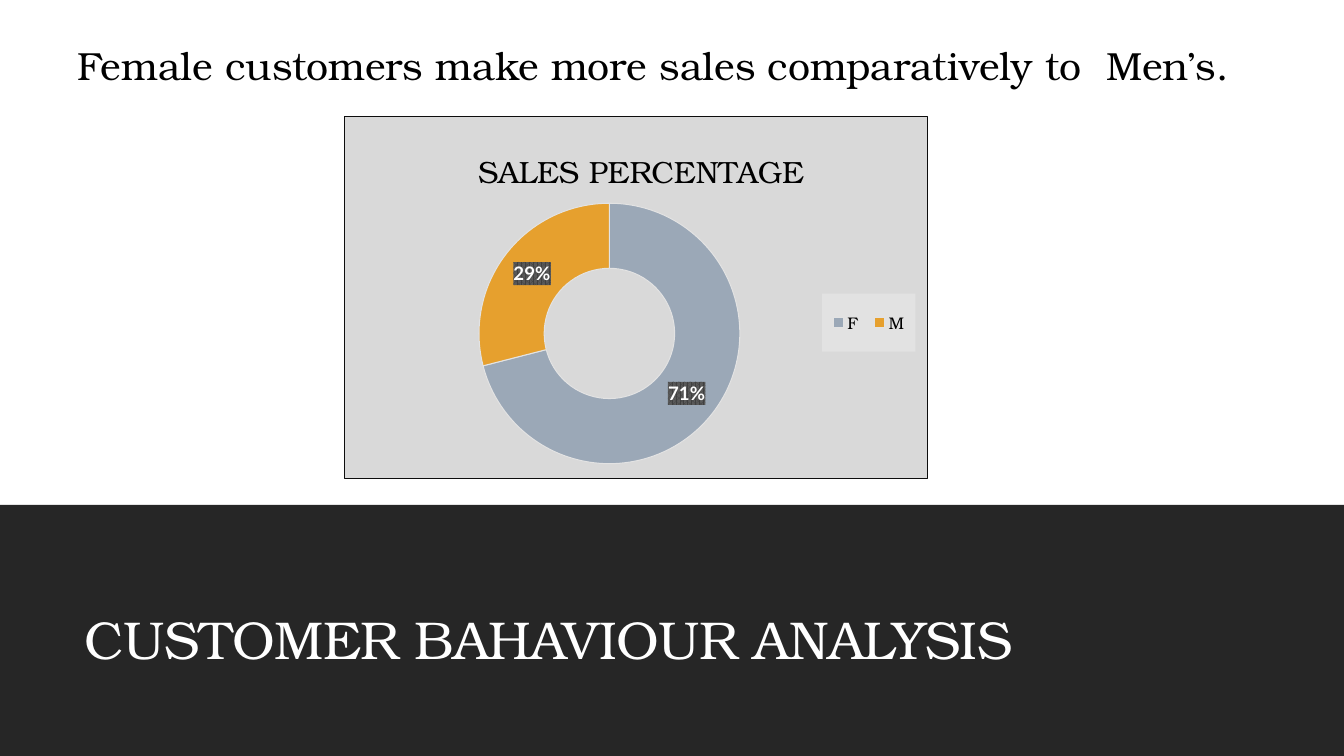
from dataclasses import dataclass

from pptx import Presentation
from pptx.chart.data import CategoryChartData
from pptx.dml.color import RGBColor
from pptx.enum.chart import XL_CHART_TYPE, XL_LEGEND_POSITION
from pptx.enum.shapes import MSO_SHAPE
from pptx.enum.text import MSO_ANCHOR, PP_ALIGN
from pptx.oxml import parse_xml
from pptx.oxml.ns import nsdecls, qn
from pptx.util import Inches, Pt

RING = XL_CHART_TYPE.DOUGHNUT
RIGHT = XL_LEGEND_POSITION.RIGHT
RECT = MSO_SHAPE.RECTANGLE
BOTTOM, TOP = MSO_ANCHOR.BOTTOM, MSO_ANCHOR.TOP
LEFT = PP_ALIGN.LEFT
TITLE_ONLY = 5


@dataclass(frozen=True)
class Theme:
    serif: str = "TeX Gyre Bonum"
    sans: str = "Lato"
    white: str = "FFFFFF"
    black: str = "000000"
    band: str = "262626"
    panel: str = "D9D9D9"
    frame: str = "0D0D0D"
    key: str = "E2E2E2"
    edge: str = "E3E3E3"
    tag: str = "404040"
    grain: str = "595959"
    female: str = "9BA8B7"
    male: str = "E6A02E"
    title: float = 38
    lead: float = 28
    head: float = 22
    label: float = 13.3
    legend: float = 12
    base: float = 10


def style(font, size, color, name, bold=False):
    font.size, font.name, font.bold = Pt(size), name, bold
    font.color.rgb = RGBColor.from_string(color)


def write(frame, text, size, color, name, spacing=None, track=None):
    """Fill a text frame with one formatted run; track is in points."""
    para = frame.paragraphs[0]
    para.alignment = LEFT
    if spacing:
        para.line_spacing = spacing
    run = para.add_run()
    run.text = text
    style(run.font, size, color, name)
    if track:
        run.font._element.set("spc", str(round(track * 100)))


def solid(color):
    return f'<a:solidFill><a:srgbClr val="{color}"/></a:solidFill>'


def paint(node, fill, line="<a:ln><a:noFill/></a:ln>"):
    """Give a chart part a fill and line, just ahead of its text style."""
    part = parse_xml(f'<c:spPr {nsdecls("c", "a")}>{fill}{line}</c:spPr>')
    node.find(qn("c:txPr")).addprevious(part)


def place(node, after, inner=False, **spots):
    """Set the layout of a chart part as shares of the chart's size."""
    for old in node.findall(qn("c:layout")):
        node.remove(old)
    modes = "".join(f'<c:{k}Mode val="edge"/>' for k in "xy")
    sizes = "".join(f'<c:{k} val="{v}"/>' for k, v in spots.items())
    target = '<c:layoutTarget val="inner"/>' if inner else ""
    layout = parse_xml(
        f'<c:layout {nsdecls("c")}><c:manualLayout>{target}{modes}{sizes}'
        "</c:manualLayout></c:layout>")
    if after:
        node.find(qn(after)).addnext(layout)
    else:
        node.insert(0, layout)


class Deck:
    def __init__(self, theme):
        self.theme = theme
        self.show = Presentation()
        self.show.slide_width = Inches(13.33)
        self.show.slide_height = Inches(7.5)
        self.slide = self.show.slides.add_slide(
            self.show.slide_layouts[TITLE_ONLY])

    def band(self, box, color):
        """Draw a plain block behind everything else."""
        shape = self.slide.shapes.add_shape(RECT, *map(Inches, box))
        shape.shadow.inherit = False
        shape.fill.solid()
        shape.fill.fore_color.rgb = RGBColor.from_string(color)
        shape.line.fill.background()
        self.slide.shapes._spTree.insert(2, shape._element)

    def title(self, box, text):
        t, shape = self.theme, self.slide.shapes.title
        shape.left, shape.top, shape.width, shape.height = map(Inches, box)
        frame = shape.text_frame
        frame.word_wrap = True
        frame.vertical_anchor = BOTTOM
        frame.margin_top = frame.margin_bottom = 0
        write(frame, text, t.title, t.white, t.serif, spacing=0.9, track=-0.5)

    def text(self, box, text):
        t = self.theme
        frame = self.slide.shapes.add_textbox(*map(Inches, box)).text_frame
        frame.word_wrap = True
        frame.vertical_anchor = TOP
        write(frame, text, t.lead, t.black, t.serif)

    def ring(self, box, head, shares):
        """Add a doughnut chart; shares maps a name to (value, color)."""
        t = self.theme
        data = CategoryChartData()
        data.categories = list(shares)
        data.add_series("Series 1", [value for value, _ in shares.values()])
        chart = self.slide.shapes.add_chart(
            RING, *map(Inches, box), data).chart
        style(chart.font, t.base, t.black, t.sans)
        paint(chart._chartSpace, solid(t.panel),
              f'<a:ln w="{Pt(0.75)}">{solid(t.frame)}</a:ln>')
        area = chart._chartSpace.chart.plotArea
        place(area, None, inner=True, x=0.23, y=0.24, w=0.45, h=0.72)

        chart.has_title = True
        write(chart.chart_title.text_frame, head, t.head, t.black, t.serif)
        place(chart.chart_title._element, "c:tx", x=0.22, y=0.07)

        chart.has_legend = True
        legend = chart.legend
        legend.position = RIGHT
        legend.include_in_layout = False
        style(legend.font, t.legend, t.black, t.serif)
        paint(legend._element, solid(t.key))
        place(legend._element, "c:legendPos", x=0.82, y=0.49, w=0.16, h=0.16)

        plot = chart.plots[0]
        plot.vary_by_categories = True
        series = plot.series[0]
        for i, (_, color) in enumerate(shares.values()):
            look = series.points[i].format
            look.fill.solid()
            look.fill.fore_color.rgb = RGBColor.from_string(color)
            look.line.width = Pt(0.75)
            look.line.color.rgb = RGBColor.from_string(t.edge)
        labels = series.data_labels
        labels.show_percentage = True
        labels.show_value = False
        labels.number_format = "0%"
        labels.number_format_is_linked = False
        style(labels.font, t.label, t.white, t.sans, bold=True)
        paint(labels._element,
              f'<a:pattFill prst="pct75"><a:fgClr><a:srgbClr val="{t.tag}"/>'
              f'</a:fgClr><a:bgClr><a:srgbClr val="{t.grain}"/></a:bgClr>'
              "</a:pattFill>")


def main():
    theme = Theme()
    deck = Deck(theme)
    deck.band((0, 5.01, 13.33, 2.49), theme.band)
    deck.title((0.74, 5.85, 11.06, 0.81), "CUSTOMER BAHAVIOUR ANALYSIS")
    deck.text((0.67, 0.36, 12.18, 1.04),
              "Female customers make more sales comparatively to  Men’s.")
    deck.ring((3.41, 1.15, 5.79, 3.6), "SALES PERCENTAGE",
              {"F": (71, theme.female), "M": (29, theme.male)})
    deck.show.save("out.pptx")


if __name__ == "__main__":
    main()
